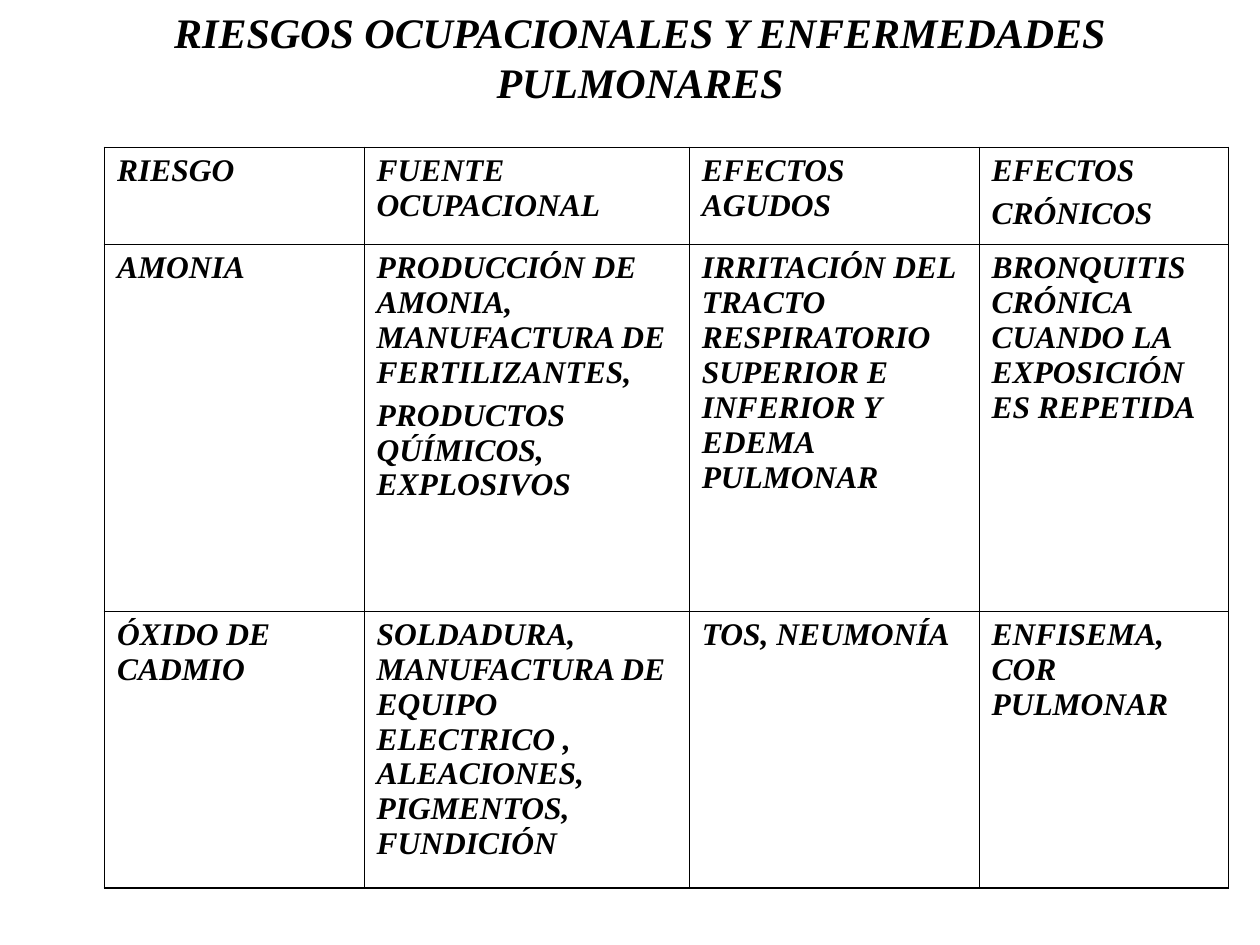
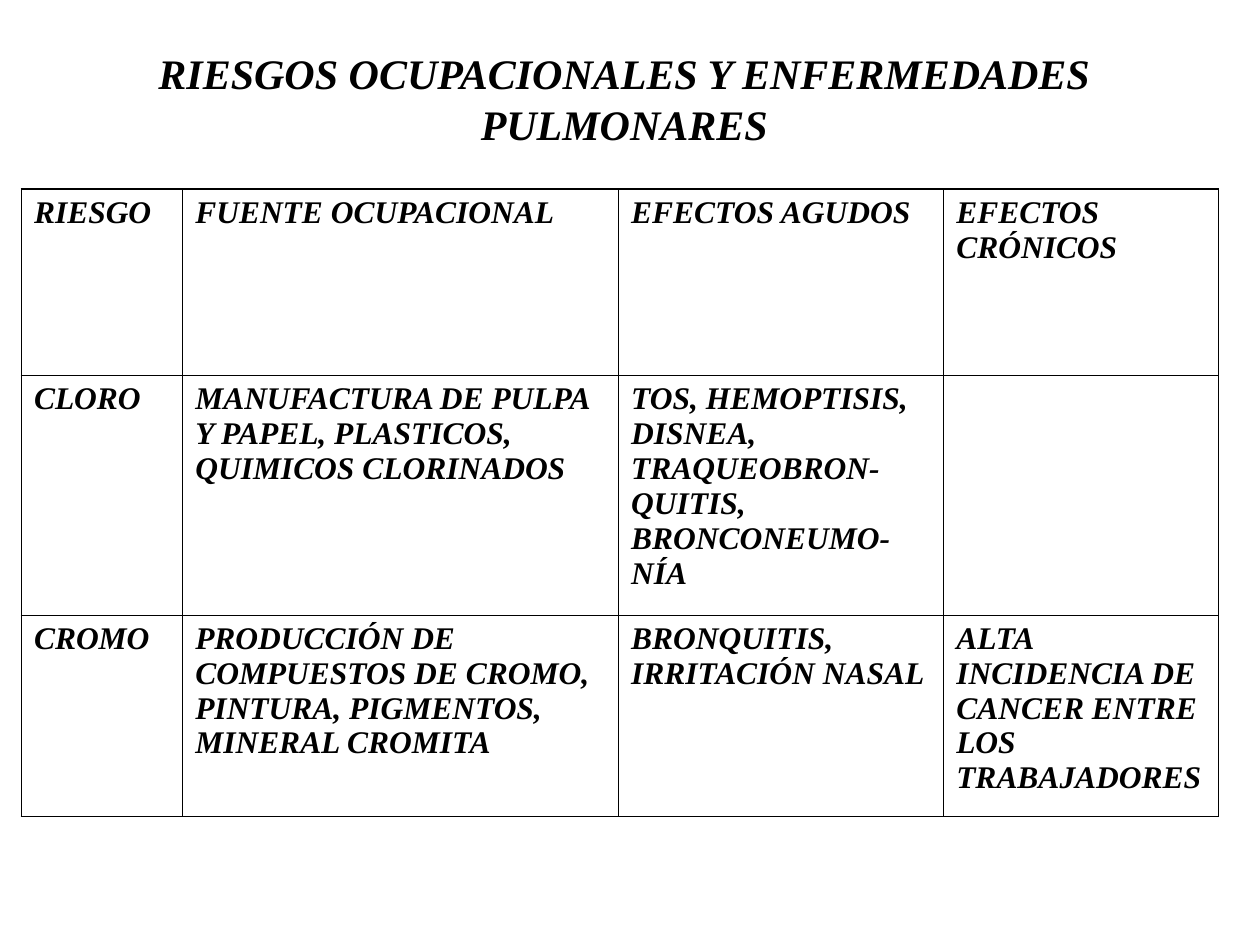
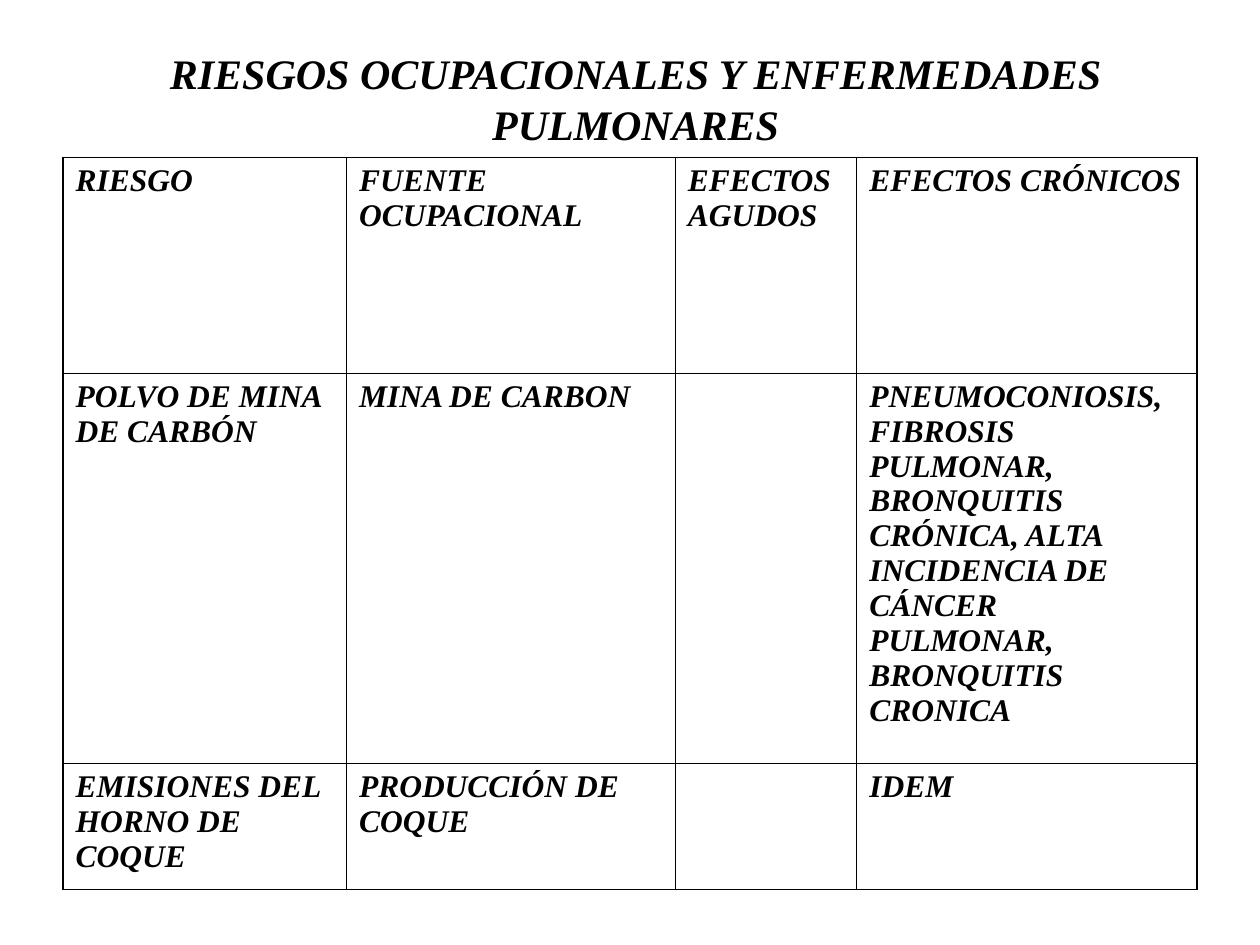
from lxml.etree import fromstring
from pptx import Presentation
from pptx.dml.color import RGBColor
from pptx.enum.text import MSO_ANCHOR, MSO_AUTO_SIZE, PP_ALIGN
from pptx.oxml.ns import nsdecls
from pptx.util import Inches, Pt

COLORS = {"text": "000000", "border": "000000", "background": "FFFFFF"}
FONT = "Times New Roman"
TITLE = "RIESGOS OCUPACIONALES Y ENFERMEDADES PULMONARES"
HEADERS = ["RIESGO", "FUENTE OCUPACIONAL", "EFECTOS AGUDOS", "EFECTOS CRÓNICOS"]
OUTER, INNER = 1.08, 0.45

# title: left, top, width; table: left, top
SLIDES = [
    {
        "title": (0.58, 0, 9),
        "table": (0.83, 1.17),
        "cols": [2.06, 2.58, 2.3, 1.98],
        "heights": [0.77, 2.91, 2.2],
        "rows": [
            HEADERS[:3] + ["EFECTOS\nCRÓNICOS"],
            ["AMONIA",
             "PRODUCCIÓN DE AMONIA, MANUFACTURA DE FERTILIZANTES,\n"
             "PRODUCTOS QÚÍMICOS, EXPLOSIVOS",
             "IRRITACIÓN DEL TRACTO RESPIRATORIO SUPERIOR E INFERIOR Y EDEMA PULMONAR",
             "BRONQUITIS CRÓNICA CUANDO LA EXPOSICIÓN ES REPETIDA"],
            ["ÓXIDO DE CADMIO",
             "SOLDADURA, MANUFACTURA DE EQUIPO ELECTRICO , ALEACIONES, "
             "PIGMENTOS, FUNDICIÓN",
             "TOS, NEUMONÍA",
             "ENFISEMA, COR PULMONAR"],
        ],
    },
    {
        "title": (0.33, 0.33, 9.25),
        "table": (0.17, 1.5),
        "cols": [1.28, 3.46, 2.58, 2.18],
        "heights": [1.48, 1.9, 1.6],
        "rows": [
            HEADERS,
            ["CLORO",
             "MANUFACTURA DE PULPA Y PAPEL, PLASTICOS, QUIMICOS CLORINADOS",
             "TOS, HEMOPTISIS, DISNEA, TRAQUEOBRON-QUITIS, BRONCONEUMO-NÍA",
             ""],
            ["CROMO",
             "PRODUCCIÓN DE COMPUESTOS DE CROMO, PINTURA, PIGMENTOS, MINERAL CROMITA",
             "BRONQUITIS, IRRITACIÓN NASAL",
             "ALTA INCIDENCIA DE CANCER ENTRE LOS TRABAJADORES"],
        ],
    },
    {
        "title": (0.67, 0.33, 8.75),
        "table": (0.5, 1.25),
        "cols": [2.25, 2.61, 1.44, 2.7],
        "heights": [1.71, 3.1, 1],
        "rows": [
            HEADERS,
            ["POLVO DE MINA DE CARBÓN",
             "MINA DE CARBON",
             "",
             "PNEUMOCONIOSIS, FIBROSIS PULMONAR, BRONQUITIS CRÓNICA, ALTA "
             "INCIDENCIA DE CÁNCER PULMONAR, BRONQUITIS CRONICA"],
            ["EMISIONES DEL HORNO DE COQUE", "PRODUCCIÓN DE COQUE", "", "IDEM"],
        ],
    },
]


def write_text(tf, text, size=18, align=PP_ALIGN.LEFT, space_before=4.5):
    """Write one paragraph per line of text, spaced from the second on."""
    tf.word_wrap = True
    for i, line in enumerate(text.split("\n")):
        p = tf.add_paragraph() if i else tf.paragraphs[0]
        p.alignment = align
        p.space_before = Pt(space_before if i else 0)
        if not line:
            p.font.size = Pt(size)
            continue
        r = p.add_run()
        r.text = line
        r.font.name = FONT
        r.font.size = Pt(size)
        r.font.bold = r.font.italic = True
        r.font.color.rgb = RGBColor.from_string(COLORS["text"])


def set_borders(cell, widths):
    """Set the left, right, top and bottom borders, with widths in points."""
    tcPr = cell._tc.get_or_add_tcPr()
    for i, (side, width) in enumerate(zip("LRTB", widths)):
        tcPr.insert(i, fromstring(
            f'<a:ln{side} {nsdecls("a")} w="{Pt(width)}"><a:solidFill>'
            f'<a:srgbClr val="{COLORS["border"]}"/></a:solidFill></a:ln{side}>'))


def add_title(s, left, top, width):
    title = s.shapes.title
    title.left, title.top = Inches(left), Inches(top)
    title.width, title.height = Inches(width), Inches(0.9)
    tf = title.text_frame
    tf.auto_size = MSO_AUTO_SIZE.NONE
    tf.vertical_anchor = MSO_ANCHOR.TOP
    write_text(tf, TITLE, size=24, align=PP_ALIGN.CENTER)


def add_risk_table(s, left, top, cols, heights, rows):
    frame = s.shapes.add_table(len(rows), len(cols), Inches(left), Inches(top),
                               Inches(sum(cols)), Inches(sum(heights)))
    table = frame.table
    table.first_row = table.horz_banding = False
    for column, width in zip(table.columns, cols):
        column.width = Inches(width)
    for row, height in zip(table.rows, heights):
        row.height = Inches(height)
    last_row, last_col = len(rows) - 1, len(cols) - 1
    for i, texts in enumerate(rows):
        for j, text in enumerate(texts):
            cell = table.cell(i, j)
            cell.fill.background()
            edges = (j == 0, j == last_col, i == 0, i == last_row)
            set_borders(cell, [OUTER if edge else INNER for edge in edges])
            write_text(cell.text_frame, text)


def main():
    prs = Presentation()
    prs.slide_width, prs.slide_height = Inches(10), Inches(7.5)
    fill = prs.slide_master.background.fill
    fill.solid()
    fill.fore_color.rgb = RGBColor.from_string(COLORS["background"])
    title_only = prs.slide_layouts[5]
    for content in SLIDES:
        s = prs.slides.add_slide(title_only)
        add_title(s, *content["title"])
        add_risk_table(s, *content["table"], content["cols"],
                       content["heights"], content["rows"])
    prs.save("out.pptx")


if __name__ == "__main__":
    main()
